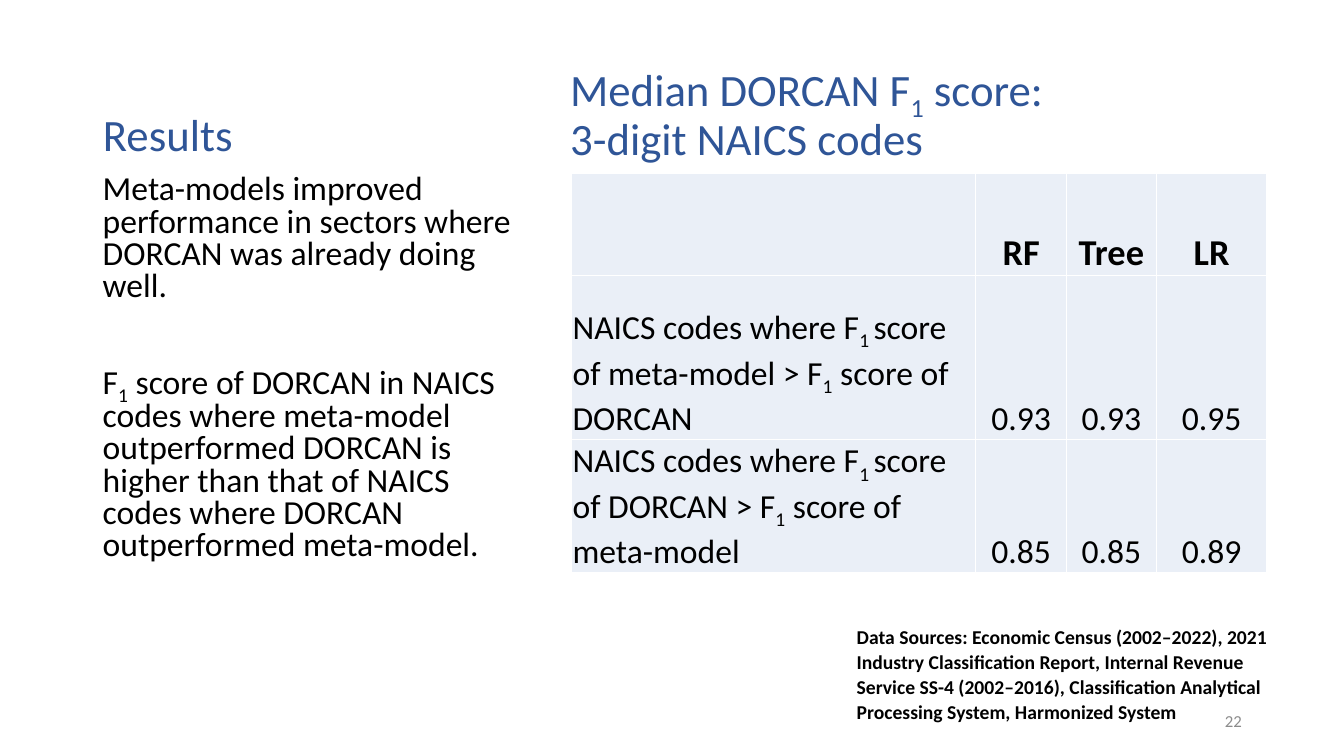
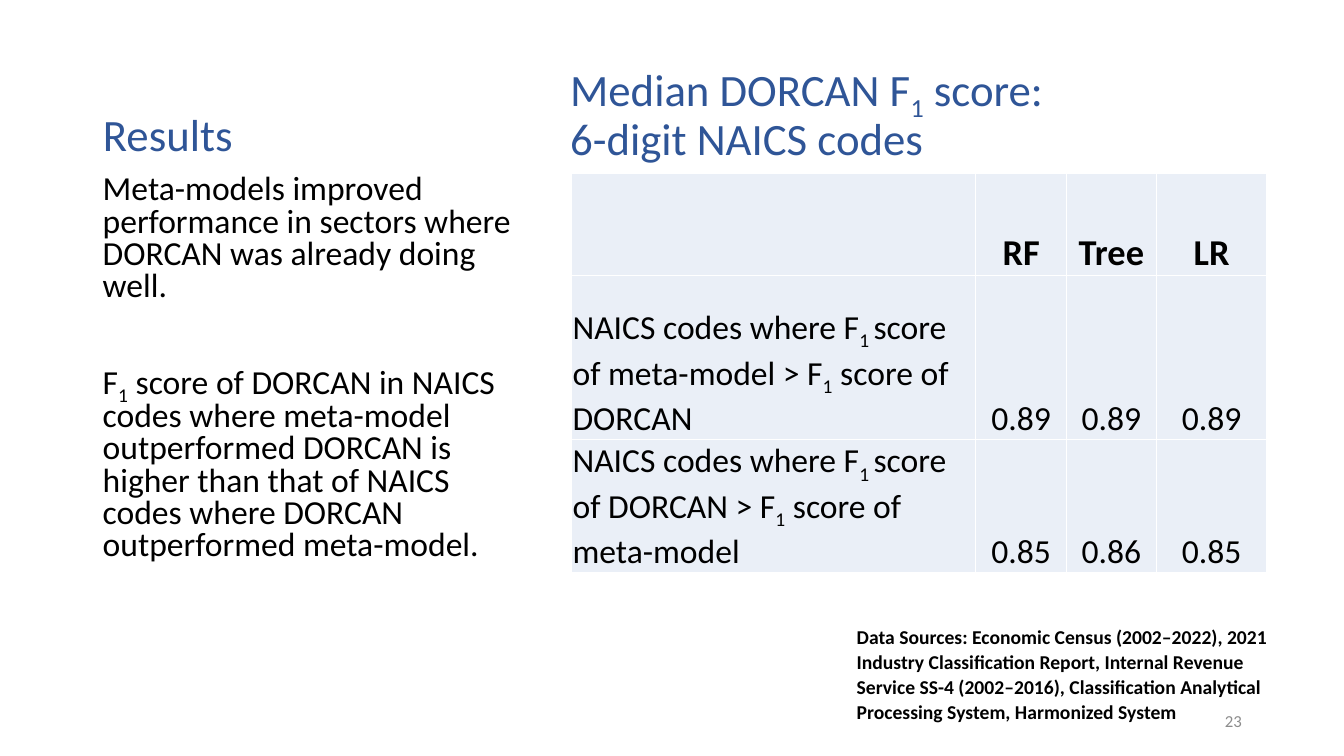
from dataclasses import dataclass

from lxml import etree
from pptx import Presentation
from pptx.dml.color import RGBColor
from pptx.enum.text import MSO_ANCHOR, MSO_AUTO_SIZE, PP_ALIGN
from pptx.oxml.ns import qn
from pptx.util import Cm, Pt

LEFT, CENTER, RIGHT = PP_ALIGN.LEFT, PP_ALIGN.CENTER, PP_ALIGN.RIGHT
TOP, MIDDLE, BOTTOM = MSO_ANCHOR.TOP, MSO_ANCHOR.MIDDLE, MSO_ANCHOR.BOTTOM
NO_AUTOFIT = MSO_AUTO_SIZE.NONE
TITLE_ONLY = 5


@dataclass(frozen=True)
class Theme:
    font: str = "Calibri"
    title_color: RGBColor = RGBColor(0x2F, 0x55, 0x97)
    text_color: RGBColor = RGBColor(0x00, 0x00, 0x00)
    number_color: RGBColor = RGBColor(0x8C, 0x8C, 0x8C)
    cell_fill: RGBColor = RGBColor(0xEA, 0xEF, 0xF7)
    border: str = "FFFFFF"
    border_width: Pt = Pt(1)
    title_size: Pt = Pt(32)
    header_size: Pt = Pt(26)
    body_size: Pt = Pt(24)
    source_size: Pt = Pt(14)
    number_size: Pt = Pt(12)


THEME = Theme()

# Positions: left, top, width, height in centimetres
TITLE_BOX = (2.34, -0.25, 10.92, 4.45)
BODY_BOX = (2.34, 4.29, 10.92, 10.59)
HEADING_BOX = (14.12, -0.15, 15.47, 4.45)
TABLE_BOX = (14.4, 4.37, 17.53, 9.83)
SOURCE_BOX = (21.34, 15.57, 11.79, 2.79)
NUMBER_BOX = (23.93, 17.65, 7.62, 1.02)
COLUMN_WIDTHS = (10.19, 2.29, 2.26, 2.79)
ROW_HEIGHTS = (2.57, 4.14, 3.12)

# Wording: text between bars is set as a subscript
BODY = (
    "Meta-models improved performance in sectors where DORCAN was already doing well.",
    "F|1| score of DORCAN in NAICS codes where meta-model outperformed DORCAN "
    "is higher than that of NAICS codes where DORCAN outperformed meta-model.",
)
SOURCES = (
    "Data Sources: Economic Census (2002–2022), 2021 Industry Classification Report, "
    "Internal Revenue Service SS-4 (2002–2016), Classification Analytical "
    "Processing System, Harmonized System"
)
HEADER = ("", "RF", "Tree", "LR")
ROW_LABELS = (
    "NAICS codes where F|1 |score of meta-model > F|1| score of DORCAN",
    "NAICS codes where F|1 |score of DORCAN > F|1| score of meta-model",
)
# Slide number, digits of the NAICS codes, scores by row
RESULTS = (
    (22, 3, (("0.93", "0.93", "0.95"), ("0.85", "0.85", "0.89"))),
    (23, 6, (("0.89", "0.89", "0.89"), ("0.85", "0.86", "0.85"))),
)


def lengths(values):
    return [Cm(value) for value in values]


def write_paragraph(paragraph, text, size, color=THEME.text_color, bold=False,
                    align=LEFT, line_spacing=None):
    paragraph.alignment = align
    paragraph.line_spacing = line_spacing
    font = paragraph.font
    font.name, font.size, font.bold = THEME.font, size, bold
    font.color.rgb = color
    for index, part in enumerate(text.split("|")):
        if not part:
            continue
        run = paragraph.add_run()
        run.text = part
        if index % 2:
            run._r.get_or_add_rPr().set("baseline", "-25000")


def write_frame(shape, texts, size, anchor=TOP, **style):
    frame = shape.text_frame
    frame.word_wrap = True
    frame.auto_size = NO_AUTOFIT
    frame.vertical_anchor = anchor
    for index, text in enumerate(texts):
        paragraph = frame.add_paragraph() if index else frame.paragraphs[0]
        write_paragraph(paragraph, text, size, **style)
    return frame


def add_text(slide, box, texts, size, **style):
    return write_frame(slide.shapes.add_textbox(*lengths(box)), texts, size, **style)


def set_title(slide, text):
    title = slide.shapes.title
    title.left, title.top, title.width, title.height = lengths(TITLE_BOX)
    write_frame(title, [text], THEME.title_size, anchor=BOTTOM,
                color=THEME.title_color, line_spacing=0.9)


def add_body(slide):
    frame = add_text(slide, BODY_BOX, BODY, THEME.body_size, line_spacing=0.8)
    for paragraph, space in zip(frame.paragraphs, (10, 43.5)):
        paragraph.space_before = Pt(space)


def format_cell(cell):
    properties = cell._tc.get_or_add_tcPr()
    for side in ("a:lnL", "a:lnR", "a:lnT", "a:lnB"):
        line = etree.SubElement(properties, qn(side), w=str(THEME.border_width))
        fill = etree.SubElement(line, qn("a:solidFill"))
        etree.SubElement(fill, qn("a:srgbClr"), val=THEME.border)
    cell.fill.solid()
    cell.fill.fore_color.rgb = THEME.cell_fill
    cell.vertical_anchor = BOTTOM
    cell.margin_left = cell.margin_right = cell.margin_top = Cm(0.03)
    cell.margin_bottom = 0


def add_score_table(slide, scores):
    rows = [HEADER] + [(label, *values) for label, values in zip(ROW_LABELS, scores)]
    table = slide.shapes.add_table(len(rows), len(HEADER), *lengths(TABLE_BOX)).table
    table.first_row = table.horz_banding = False
    for column, width in zip(table.columns, COLUMN_WIDTHS):
        column.width = Cm(width)
    for row, height in zip(table.rows, ROW_HEIGHTS):
        row.height = Cm(height)
    for row_index, texts in enumerate(rows):
        is_header = row_index == 0
        for column_index, text in enumerate(texts):
            cell = table.cell(row_index, column_index)
            format_cell(cell)
            write_paragraph(
                cell.text_frame.paragraphs[0], text,
                THEME.header_size if is_header else THEME.body_size,
                bold=is_header, align=CENTER if column_index else LEFT)


def add_results_slide(presentation, number, digits, scores):
    slide = presentation.slides.add_slide(presentation.slide_layouts[TITLE_ONLY])
    set_title(slide, "Results")
    add_body(slide)
    add_text(slide, NUMBER_BOX, [str(number)], THEME.number_size, anchor=MIDDLE,
             color=THEME.number_color, align=RIGHT)
    add_text(slide, SOURCE_BOX, [SOURCES], THEME.source_size, bold=True,
             line_spacing=1.07)
    add_score_table(slide, scores)
    add_text(slide, HEADING_BOX,
             ["Median DORCAN F|1| score:", f"{digits}-digit NAICS codes"],
             THEME.title_size, anchor=BOTTOM, color=THEME.title_color,
             line_spacing=0.9)


def main():
    presentation = Presentation()
    presentation.slide_width, presentation.slide_height = Cm(33.87), Cm(19.05)
    for number, digits, scores in RESULTS:
        add_results_slide(presentation, number, digits, scores)
    presentation.save("out.pptx")


if __name__ == "__main__":
    main()
